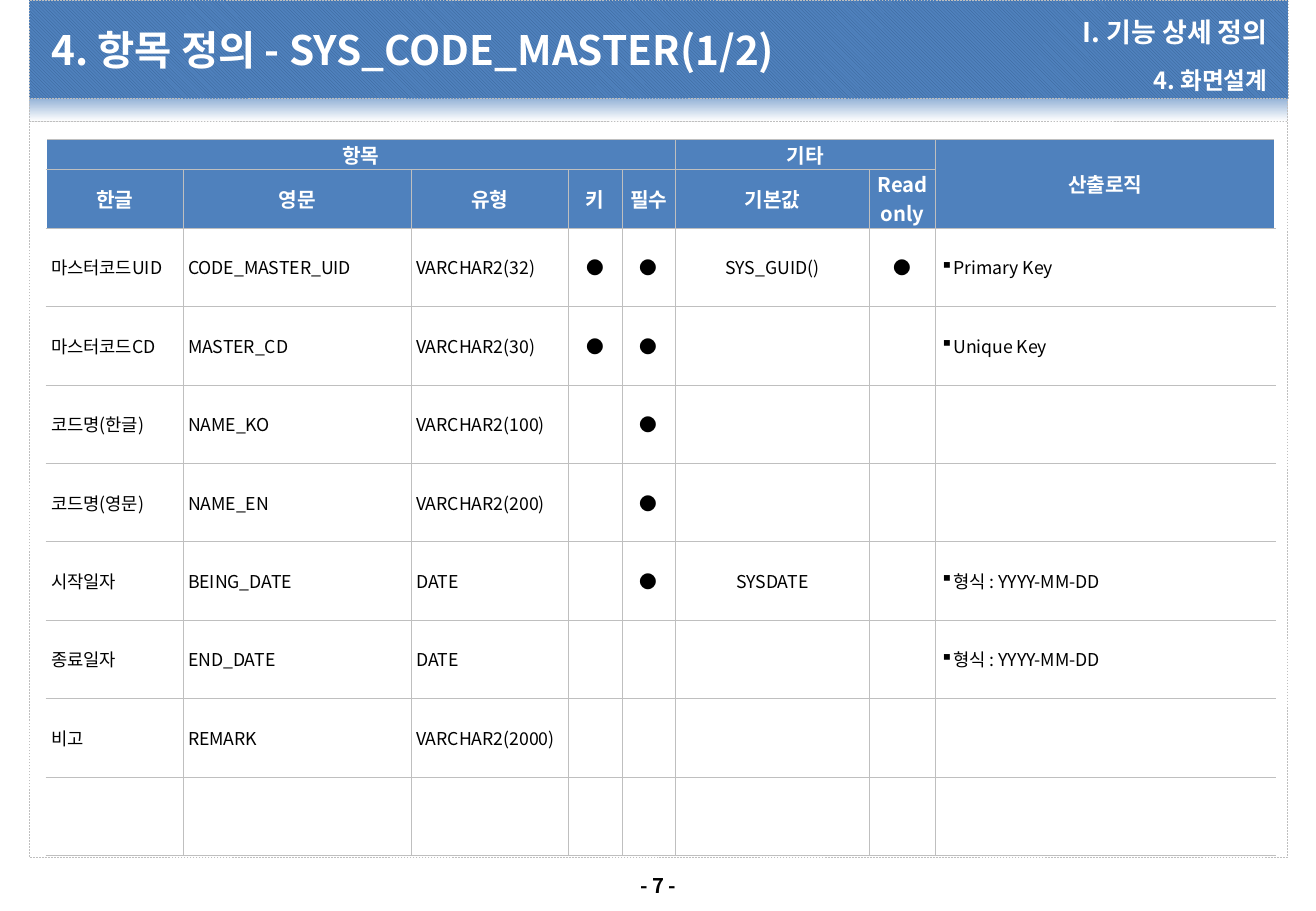
import pptx
import pptx.dml.color
import pptx.enum.dml
import pptx.enum.shapes
import pptx.enum.text
import pptx.oxml
import pptx.oxml.ns
import pptx.util

Cm, Pt = pptx.util.Cm, pptx.util.Pt
ALIGN, ANCHOR = pptx.enum.text.PP_ALIGN, pptx.enum.text.MSO_ANCHOR
FONT = "Noto Sans CJK KR"
BLUE, GRAY, WHITE, BLACK = "4F81BD", "BFBFBF", "FFFFFF", "000000"


def rgb(value):
    """Turn a hex string into a colour."""
    return pptx.dml.color.RGBColor.from_string(value)


def write(frame, text, size, color, bold, align):
    """Put one formatted, vertically centred paragraph in a text frame or cell."""
    frame.vertical_anchor = ANCHOR.MIDDLE
    paragraph = getattr(frame, "text_frame", frame).paragraphs[0]
    paragraph.alignment = align
    run = paragraph.add_run()
    run.text = text
    for name, value in {"size": Pt(size), "bold": bold, "name": FONT}.items():
        setattr(run.font, name, value)
    run.font.color.rgb = rgb(color)
    east_asian = pptx.oxml.parse_xml(
        f'<a:ea {pptx.oxml.ns.nsdecls("a")} typeface="{FONT}"/>')
    run.font._element.append(east_asian)
    return paragraph


deck = pptx.Presentation()
deck.slide_width, deck.slide_height = Cm(27.51), Cm(19.05)
slide = deck.slides.add_slide(deck.slide_layouts[5])

# Page frame: fading strip, content area and header band
bands = []
for top, height in ((2.06, 0.48), (2.54, 15.39), (0, 2.06)):
    band = slide.shapes.add_shape(pptx.enum.shapes.MSO_SHAPE.RECTANGLE,
                                  Cm(0.61), Cm(top), Cm(26.31), Cm(height))
    band.shadow.inherit = False
    band.line.color.rgb = rgb(GRAY)
    band.line.width = Pt(0.25)
    band.line.dash_style = pptx.enum.dml.MSO_LINE.DASH
    bands.append(band)
strip, content, header = bands

strip.fill.gradient()
strip.fill.gradient_angle = 270
for stop, position, color in zip(strip.fill.gradient_stops, (0, 1), ("95B3D7", WHITE)):
    stop.position = position
    stop.color.rgb = rgb(color)
content.fill.solid()
content.fill.fore_color.rgb = rgb(WHITE)
header.rotation = 180
header.fill.patterned()
header.fill.pattern = pptx.enum.dml.MSO_PATTERN.LIGHT_DOWNWARD_DIAGONAL
header.fill.fore_color.rgb = rgb("376092")
header.fill.back_color.rgb = rgb(BLUE)

# Title, section names and page number
title = slide.shapes.title
slide.shapes._spTree.append(title._element)
section, subsection, page = [slide.shapes.add_textbox(0, 0, 0, 0) for _ in range(3)]
for box, place, text, size, color, align, spacing in (
    (title, (0.97, 0.2, 16.99, 1.68), "4. 항목 정의 - SYS_CODE_MASTER(1/2)", 24, WHITE, ALIGN.LEFT, 1),
    (section, (17.96, 0.2, 8.64, 0.94), "I. 기능 상세 정의", 16, WHITE, ALIGN.RIGHT, 1),
    (subsection, (17.96, 1.19, 8.64, 0.69), "4. 화면설계", 14, WHITE, ALIGN.RIGHT, 1.5),
    (page, (12.9, 18.14, 1.73, 0.76), "- 7 -", 12, BLACK, ALIGN.CENTER, 1),
):
    box.left, box.top, box.width, box.height = map(Cm, place)
    frame = box.text_frame
    frame.word_wrap = True
    frame.auto_size = pptx.enum.text.MSO_AUTO_SIZE.NONE
    for side in ("left", "top", "right", "bottom"):
        setattr(frame, f"margin_{side}", Cm(0.1))
    write(frame, text, size, color, True, align).line_spacing = spacing

# Item table
DOT = "●"
group_heads = ["항목", "", "", "", "", "기타", "", "산출로직"]
column_heads = ["한글", "영문", "유형", "키", "필수", "기본값", "Read only", ""]
items = [
    ["마스터코드UID", "CODE_MASTER_UID", "VARCHAR2(32)", DOT, DOT, "SYS_GUID()", DOT, "Primary Key"],
    ["마스터코드CD", "MASTER_CD", "VARCHAR2(30)", DOT, DOT, "", "", "Unique Key"],
    ["코드명(한글)", "NAME_KO", "VARCHAR2(100)", "", DOT, "", "", ""],
    ["코드명(영문)", "NAME_EN", "VARCHAR2(200)", "", DOT, "", "", ""],
    ["시작일자", "BEING_DATE", "DATE", "", DOT, "SYSDATE", "", "형식 : YYYY-MM-DD"],
    ["종료일자", "END_DATE", "DATE", "", "", "", "", "형식 : YYYY-MM-DD"],
    ["비고", "REMARK", "VARCHAR2(2000)", "", "", "", "", ""],
    [""] * 8,
]
rows = [group_heads, column_heads] + items
widths = [2.86, 4.77, 3.28, 1.12, 1.12, 4.06, 1.38, 7.1]
heights = [0.61, 1.23] + [1.64] * len(items)
LOGIC = len(widths) - 1

table = slide.shapes.add_table(len(rows), len(widths), Cm(0.97), Cm(2.92),
                               Cm(sum(widths)), Cm(sum(heights))).table
table.first_row = table.horz_banding = False
for column, width in zip(table.columns, widths):
    column.width = Cm(width)
for row, height in zip(table.rows, heights):
    row.height = Cm(height)

for r, texts in enumerate(rows):
    is_head = r < 2
    for c, text in enumerate(texts):
        cell = table.cell(r, c)
        cell.margin_left = cell.margin_right = Cm(0.1)
        cell.margin_top = cell.margin_bottom = 0
        cell.fill.solid()
        cell.fill.fore_color.rgb = rgb(BLUE if is_head else WHITE)
        sides = ["L"] * (c > 0) + ["R"] * (c < LOGIC) + ["T", "B"]
        for position, side in enumerate(sides):
            border = pptx.oxml.parse_xml(
                f'<a:ln{side} {pptx.oxml.ns.nsdecls("a")} w="{Pt(0.25)}"><a:solidFill>'
                f'<a:srgbClr val="{GRAY}"/></a:solidFill></a:ln{side}>')
            cell._tc.get_or_add_tcPr().insert(position, border)
        if not text:
            continue
        centred = is_head or 3 <= c < LOGIC
        paragraph = write(cell, text, 12 if is_head else 10.5, WHITE if is_head else BLACK,
                          is_head, ALIGN.CENTER if centred else ALIGN.LEFT)
        if c == LOGIC and not is_head:
            properties = paragraph._p.get_or_add_pPr()
            properties.set("marL", str(Cm(0.25)))
            properties.set("indent", str(-Cm(0.25)))
            properties.append(pptx.oxml.parse_xml(
                f'<a:buChar {pptx.oxml.ns.nsdecls("a")} char="▪"/>'))

for first, last in (((0, 0), (0, 4)), ((0, 5), (0, 6)), ((0, LOGIC), (1, LOGIC))):
    table.cell(*first).merge(table.cell(*last))

deck.save("out.pptx")
